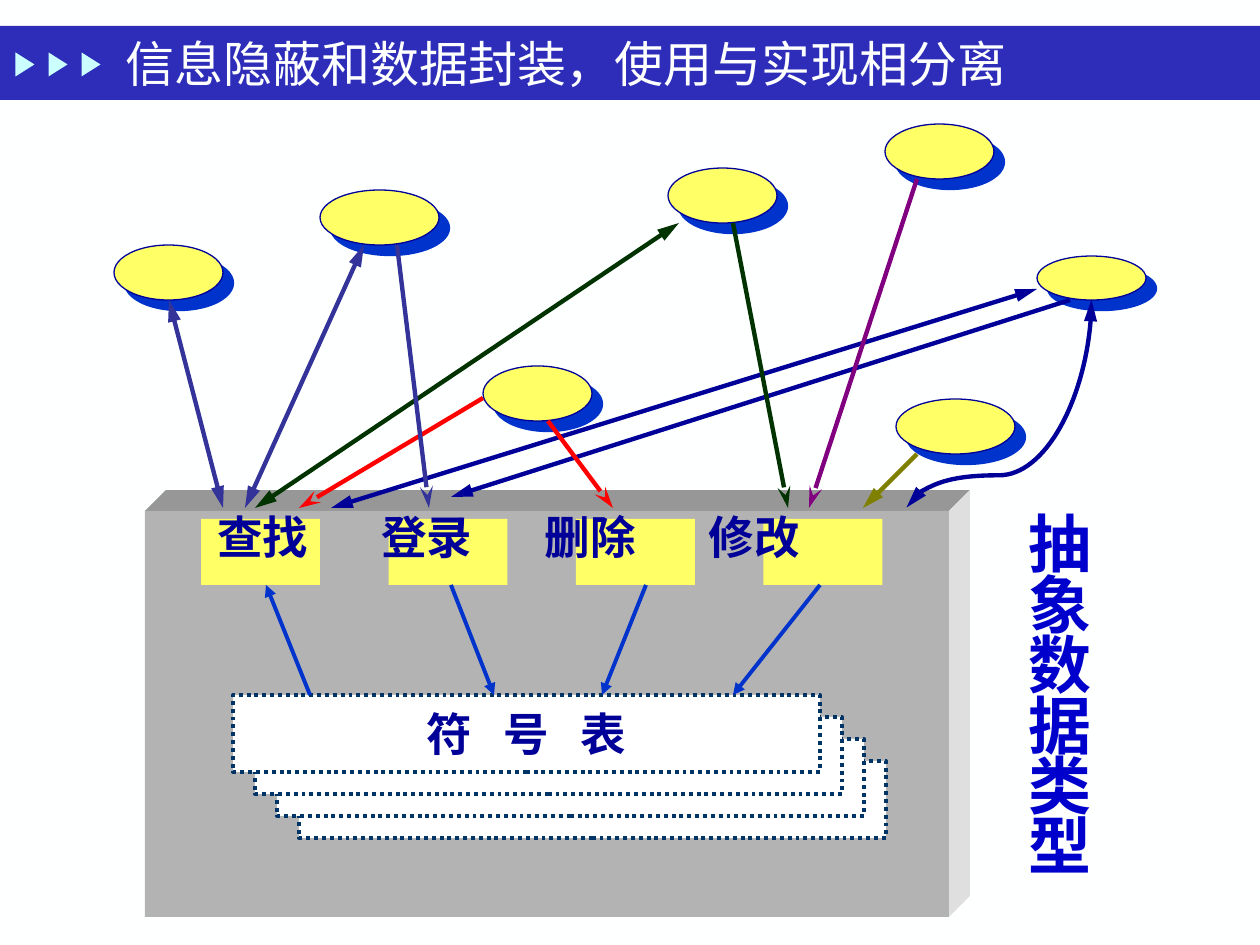
from pptx import Presentation
from pptx.dml.color import RGBColor
from pptx.enum.dml import MSO_LINE
from pptx.enum.shapes import MSO_CONNECTOR, MSO_SHAPE
from pptx.enum.text import MSO_ANCHOR, MSO_AUTO_SIZE, PP_ALIGN
from pptx.oxml.ns import qn
from pptx.util import Emu, Pt
from lxml.etree import SubElement

RECT, OVAL, TRIANGLE = MSO_SHAPE.RECTANGLE, MSO_SHAPE.OVAL, MSO_SHAPE.ISOSCELES_TRIANGLE
STRAIGHT, CURVE = MSO_CONNECTOR.STRAIGHT, MSO_CONNECTOR.CURVE
LEFT, CENTER = PP_ALIGN.LEFT, PP_ALIGN.CENTER
TOP, MIDDLE = MSO_ANCHOR.TOP, MSO_ANCHOR.MIDDLE


class Theme:
    page, bar, marker = "FEFFFF", "2D2DB9", "CBFFFF"
    yellow, navy, blue, caption = "FFFF66", "000099", "0033CC", "0000CC"
    front, roof, side = "B3B3B3", "979797", "DFDFDF"
    white, dots = "FFFFFF", "003366"
    slate, green, red, purple, olive = "333399", "003300", "FF0000", "800080", "808000"
    serif, sans = "Times New Roman", "Noto Sans CJK SC"
    title_size, label_size, caption_size = 28, 26, 36


# Content, lengths in px
TITLE = "信息隐蔽和数据封装，使用与实现相分离"
CAPTION = "抽象数据类型"
OPERATIONS = ["查找", "登录", "删除", "修改"]
TABLE_NAME = [("符 号 ", 6), ("表", 0)]  # text, letter spacing in pt
USERS = [  # left, top, width, height
    (114, 245, 109, 55), (320, 190, 119, 55), (483, 366, 109, 55), (668, 168, 109, 55),
    (896, 399, 119, 55), (885, 124, 109, 55), (1037, 256, 109, 44),
]
CALLS = [  # start, end, colour, head, tail
    ((169, 300), (223, 508), Theme.slate, "triangle", "triangle"),
    ((364, 245), (245, 508), Theme.slate, "triangle", "triangle"),
    ((679, 223), (255, 508), Theme.green, "triangle", "triangle"),
    ((483, 398), (299, 508), Theme.red, None, "stealth"),
    ((1037, 289), (331, 508), Theme.navy, "triangle", "triangle"),
    ((397, 245), (429, 508), Theme.slate, None, "stealth"),
    ((1070, 300), (451, 497), Theme.navy, None, "triangle"),
    ((548, 421), (613, 508), Theme.red, None, "stealth"),
    ((733, 223), (788, 508), Theme.green, None, "stealth"),
    ((917, 179), (809, 508), Theme.purple, None, "stealth"),
    ((917, 454), (863, 508), Theme.olive, None, "triangle"),
]
ACCESSES = [
    ((310, 695), (266, 585)), ((451, 585), (494, 695)),
    ((646, 585), (602, 695)), ((820, 585), (733, 695)),
]


def px(value):
    return Emu(round(value * 914400 / 126))


def color(code):
    return RGBColor.from_string(code)


def paint(shape, fill, line=None, weight=0.75):
    shape.shadow.inherit = False
    shape.fill.solid()
    shape.fill.fore_color.rgb = color(fill)
    if line:
        shape.line.color.rgb = color(line)
        shape.line.width = Pt(weight)
    else:
        shape.line.fill.background()
    return shape


def add_block(kind, box, fill, line=None, weight=0.75):
    return paint(page.shapes.add_shape(kind, *map(px, box)), fill, line, weight)


def add_face(points, fill):
    corners = [(px(x), px(y)) for x, y in points]
    builder = page.shapes.build_freeform(*corners[0], scale=1.0)
    builder.add_line_segments(corners[1:], close=True)
    paint(builder.convert_to_shape(), fill)


def set_frame(shape, anchor, align, wrap=True):
    frame = shape.text_frame
    frame.word_wrap = wrap
    frame.auto_size = MSO_AUTO_SIZE.NONE
    frame.vertical_anchor = anchor
    para = frame.paragraphs[0]
    para.alignment = align
    return para


def add_span(para, text, size, ink, font, bold=False, spacing=0):
    span = para.add_run()
    span.text = text
    span.font.size = Pt(size)
    span.font.bold = bold
    span.font.color.rgb = color(ink)
    span.font.name = font
    props = span.font._element
    SubElement(props, qn("a:ea")).set("typeface", Theme.sans)
    if spacing:
        props.set("spc", str(spacing * 100))


def add_arrow(start, end, ink, weight, head, tail, length, kind=STRAIGHT):
    arrow = page.shapes.add_connector(kind, *map(px, start + end))
    arrow.line.color.rgb = color(ink)
    arrow.line.width = Pt(weight)
    line = arrow.line._get_or_add_ln()
    for tag, style in (("a:headEnd", head), ("a:tailEnd", tail)):
        if style:
            tip = SubElement(line, qn(tag))
            for key, value in (("type", style), ("w", "med"), ("len", length)):
                tip.set(key, value)
    SubElement(arrow._element.spPr, qn("a:effectLst"))
    return arrow


deck = Presentation()
deck.slide_width, deck.slide_height = px(1260), px(945)
page = deck.slides.add_slide(deck.slide_layouts[5])
page.background.fill.solid()
page.background.fill.fore_color.rgb = color(Theme.page)

# Title bar with three markers
add_block(RECT, (0, 26, 1260, 74), Theme.bar)
for i in range(3):
    add_block(TRIANGLE, (13 + 33 * i, 55, 24, 19), Theme.marker).rotation = 90
title = page.shapes.title
title.left, title.top, title.width, title.height = map(px, (113, 24, 978, 78))
add_span(set_frame(title, MIDDLE, LEFT), TITLE, Theme.title_size, Theme.page, Theme.serif)
page.shapes._spTree.append(title._element)  # in front of the bar

# Caption, one character to a line
caption = page.shapes.add_textbox(*map(px, (1016, 514, 89, 393)))
para = set_frame(caption, TOP, LEFT)
para.line_spacing = Pt(34.5)
add_span(para, CAPTION, Theme.caption_size, Theme.caption, Theme.serif, True)

# Users with hard shadows
for box in USERS:
    user = add_block(OVAL, box, Theme.yellow, Theme.navy)
    shadow = SubElement(user._element.spPr.find(qn("a:effectLst")), qn("a:outerShdw"))
    for key, value in (("dist", Pt(8.5)), ("dir", 45 * 60000), ("algn", "ctr"), ("rotWithShape", 0)):
        shadow.set(key, str(value))
    SubElement(shadow, qn("a:srgbClr")).set("val", Theme.blue)

# Solid block of the abstract data type
x, y, w, h, depth = 145, 511, 804, 406, 21
add_face([(x, y), (x + depth, y - depth), (x + w + depth, y - depth), (x + w, y)], Theme.roof)
add_face([(x + w, y), (x + w + depth, y - depth),
          (x + w + depth, y + h - depth), (x + w, y + h)], Theme.side)
add_block(RECT, (x, y, w, h), Theme.front)

# Operations, spread by tab stops
for i in range(len(OPERATIONS)):
    add_block(RECT, (201 + 187.5 * i, 519, 119, 66), Theme.yellow)
labels = page.shapes.add_textbox(*map(px, (205, 503, 712, 81)))
para = set_frame(labels, TOP, LEFT)
stops = SubElement(para._p.get_or_add_pPr(), qn("a:tabLst"))
for i in range(1, len(OPERATIONS)):
    stop = SubElement(stops, qn("a:tab"))
    stop.set("pos", str(px(163.7 * i)))
    stop.set("algn", "l")
add_span(para, "\t".join(OPERATIONS), Theme.label_size, Theme.navy, Theme.sans, True)

# Curved call: a box of 208 by 185 px turned by 90 degrees
curve = add_arrow((895, 311), (1103, 496), Theme.navy, 2.5, "triangle", "triangle", "lg", CURVE)
curve._element.spPr.find(qn("a:xfrm")).set("rot", str(90 * 60000))
bend = SubElement(curve._element.spPr.find(qn("a:prstGeom")).get_or_add_avLst(), qn("a:gd"))
bend.set("name", "adj1")
bend.set("fmla", "val 84500")

# Straight calls
for start, end, ink, head, tail in CALLS:
    add_arrow(start, end, ink, 2.5, head, tail, "lg")

# Stacked symbol table, back to front
for i in reversed(range(4)):
    sheet = add_block(RECT, (233 + 22 * i, 695 + 22 * i, 587, 77), Theme.white, Theme.dots, 2.25)
    sheet.line.dash_style = MSO_LINE.ROUND_DOT
para = set_frame(sheet, MIDDLE, CENTER, False)
for text, spacing in TABLE_NAME:
    add_span(para, text, Theme.label_size, Theme.navy, Theme.sans, True, spacing)

# Accesses between operations and table
for start, end in ACCESSES:
    add_arrow(start, end, Theme.blue, 2.25, None, "triangle", "med")

deck.save("out.pptx")
